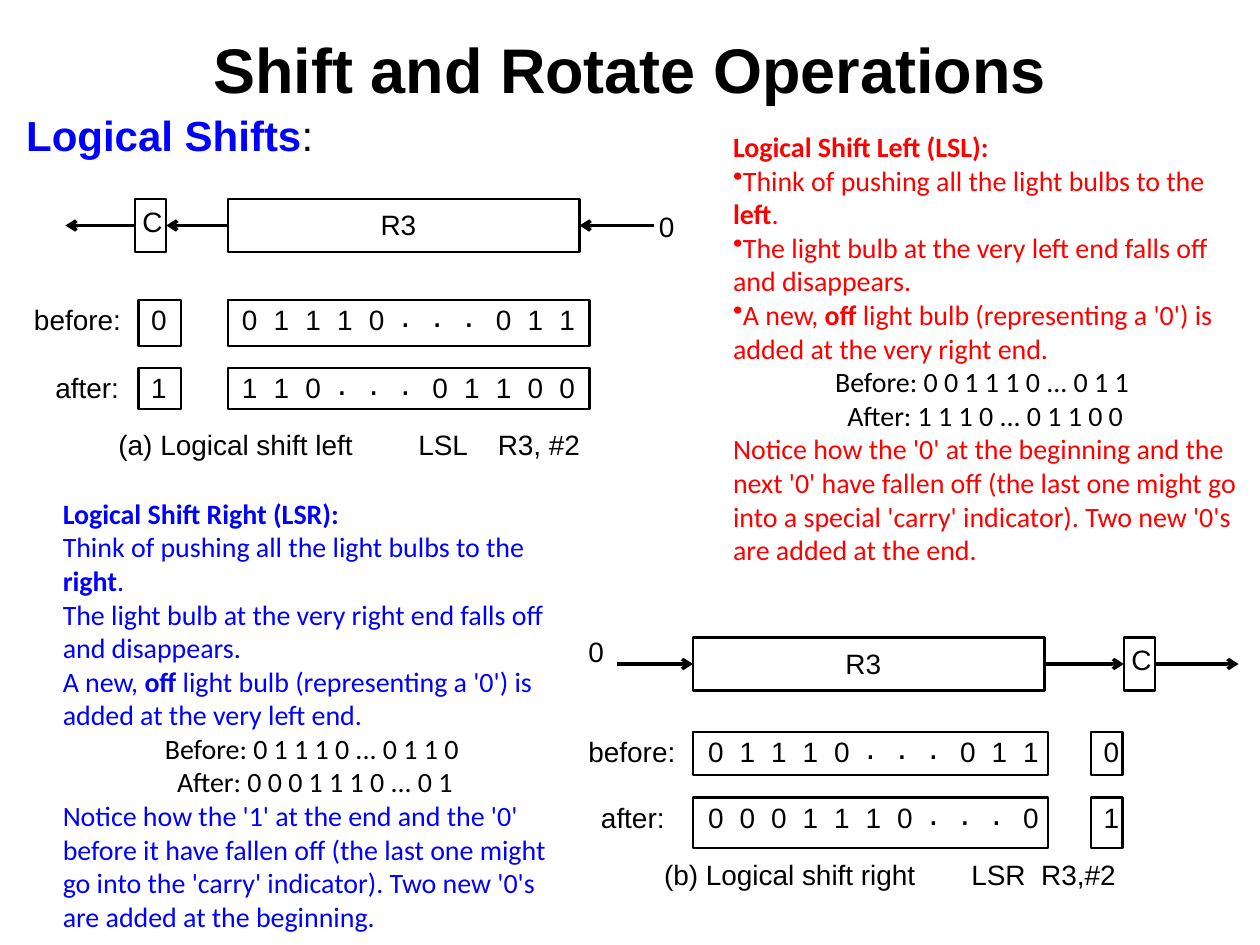
from lxml.etree import SubElement
from pptx import Presentation
from pptx.dml.color import RGBColor
from pptx.enum.shapes import MSO_CONNECTOR, MSO_SHAPE
from pptx.enum.text import MSO_ANCHOR, MSO_AUTO_SIZE, PP_ALIGN
from pptx.oxml.ns import qn
from pptx.util import Inches, Pt

BLACK = RGBColor(0, 0, 0)
BLUE = RGBColor(0, 0, 255)
RED = RGBColor(255, 0, 0)

# Offsets from the top left of each diagram: rows hold label x, y, height
LEFT = dict(
    reg=1.54, carry=0.8, start=4.92, end=0.25, zero=(4.96, 0.08),
    word=2.87, flag=0.83, size=0.34, bit=1.65, pitch=0.252,
    rows=[("before:", 0, 0.8, 0.37, "01110...011", "0"),
          ("after:", 0.17, 1.34, 0.33, "110...01100", "1")],
    notes=[("(a) Logical shift left", 0.67, 1.88),
           ("LSL    R3, #2", 3.05, 1.3)],
    base=1.81, inward=3, outward=1)
RIGHT = dict(
    reg=0.83, carry=4.25, start=0.23, end=5.16, zero=(0, -0.02),
    word=2.82, flag=3.99, size=0.25, bit=0.95, pitch=0.25,
    rows=[("before:", 0, 0.75, 0.34, "01110...011", "0"),
          ("after:", 0.1, 1.27, 0.4, "0001110...0", "1")],
    notes=[("(b) Logical shift right", 0.6, 2.02),
           ("LSR  R3,#2", 3.04, 1.16)],
    base=1.75, inward=1, outward=3)


def text(slide, box, paras, font="Arial", size=16, color=BLACK, wrap=False,
         inset=0, align=PP_ALIGN.LEFT, anchor=MSO_ANCHOR.TOP, fit=True):
    """Add paragraphs; ** switches bold, a leading > centres in black."""
    frame = slide.shapes.add_textbox(*map(Inches, box)).text_frame
    frame.word_wrap = wrap
    if fit:
        frame.auto_size = MSO_AUTO_SIZE.SHAPE_TO_FIT_TEXT
    frame.vertical_anchor = anchor
    frame.margin_left = frame.margin_right = Inches(inset)
    frame.margin_top = frame.margin_bottom = Inches(inset / 2)
    for i, line in enumerate(paras):
        para = frame.paragraphs[0] if i == 0 else frame.add_paragraph()
        mid = line.startswith(">")
        para.alignment = PP_ALIGN.CENTER if mid else align
        if line.startswith("•"):
            SubElement(para._p.get_or_add_pPr(), qn("a:buChar"), char="•")
        for j, part in enumerate(line.lstrip(">•").split("**")):
            if part:
                run = para.add_run()
                run.text = part
                run.font.name, run.font.size = font, Pt(size)
                run.font.bold = j % 2 == 1
                run.font.color.rgb = BLACK if mid else color
    return frame


def rect(slide, x, y, w, h):
    shape = slide.shapes.add_shape(MSO_SHAPE.RECTANGLE,
                                   *map(Inches, (x, y, w, h)))
    shape.shadow.inherit = False
    shape.fill.background()
    shape.line.color.rgb = BLACK
    shape.line.width = Pt(1.25)
    return shape


def arrow(slide, x1, x2, y, tail=None, head=None):
    """Draw a level arrow; tail and head are (shape, side) joints."""
    line = slide.shapes.add_connector(
        MSO_CONNECTOR.STRAIGHT, *map(Inches, (x1, y, x2, y)))
    if tail:
        line.begin_connect(*tail)
    if head:
        line.end_connect(*head)
    line.line.color.rgb = BLACK
    line.line.width = Pt(2)
    SubElement(line.line._get_or_add_ln(), qn("a:tailEnd"), type="arrow")
    SubElement(line._element.spPr, qn("a:effectLst"))


def bits(slide, x, y, pitch, word):
    for i, bit in enumerate(word):
        dot = bit == "."
        place = (x + i * pitch, y - 0.08 * dot,
                 0.08 if dot else 0.12, 0.34 if dot else 0.27)
        text(slide, place, [bit], size=20 if dot else 16)


def diagram(slide, x, y, d):
    # Register and carry flag
    reg = rect(slide, x + d["reg"], y, 2.79, 0.42)
    carry = rect(slide, x + d["carry"], y, 0.25, 0.42)
    text(slide, (x + d["reg"] + 1.21, y + 0.07, 0.29, 0.27), ["R3"])
    text(slide, (x + d["carry"] + 0.06, y + 0.04, 0.16, 0.27), ["C"])
    zx, zy = d["zero"]
    text(slide, (x + zx, y + zy, 0.12, 0.27), ["0"])

    # Flow: zero in, through the register, out of the carry flag
    mid, come, go = y + 0.21, d["inward"], d["outward"]
    arrow(slide, x + d["start"], x + d["reg"], mid, head=(reg, come))
    arrow(slide, x + d["reg"], x + d["carry"], mid, (reg, go), (carry, come))
    arrow(slide, x + d["carry"], x + d["end"], mid, tail=(carry, go))

    # Contents before and after
    for label, dx, dy, h, word, flag in d["rows"]:
        top = y + dy
        rect(slide, x + d["reg"], top, d["word"], h)
        rect(slide, x + d["flag"], top, d["size"], h)
        text(slide, (x + dx, top + 0.02, 0.7 - dx, 0.27), [label])
        text(slide, (x + d["flag"] + 0.1, top + 0.02, 0.12, 0.27), [flag])
        bits(slide, x + d["bit"], top + 0.02, d["pitch"], word)

    # Caption
    for note, dx, w in d["notes"]:
        text(slide, (x + dx, y + d["base"], w, 0.27), [note])


def header(slide, x, y):
    text(slide, (x + 0.39, y, 9, 0.75), ["**Shift and Rotate Operations**"],
         size=36, wrap=True, inset=0.1, align=PP_ALIGN.CENTER,
         anchor=MSO_ANCHOR.MIDDLE, fit=False)
    frame = text(slide, (x, y + 0.65, 2.5, 0.5), ["**Logical Shifts**:"],
                 size=24, inset=0.1)
    frame.paragraphs[0].runs[0].font.color.rgb = BLUE


def guide(slide, x, y, color, name, side, other, mark, sample, notice):
    """Explain one shift, with a worked example."""
    before, after = sample
    lines = [
        f"**Logical Shift {name}:**",
        f"{mark}Think of pushing all the light bulbs to the **{side}**.",
        f"{mark}The light bulb at the very {side} end falls off "
        "and disappears.",
        f"{mark}A new, **off** light bulb (representing a '0') is added "
        f"at the very {other} end.",
        f">Before: {before} ", f">After: {after}", notice]
    text(slide, (x, y, 4.2, 3.6), lines, font="Calibri", color=color,
         wrap=True, inset=0.1)


def main():
    prs = Presentation()
    prs.slide_width, prs.slide_height = Inches(10), Inches(7.5)
    slide = prs.slides.add_slide(prs.slide_layouts[6])
    header(slide, 0.11, 0.17)
    diagram(slide, 0.27, 1.58, LEFT)
    diagram(slide, 4.67, 5.06, RIGHT)
    guide(slide, 5.72, 0.98, RED, "Left (LSL)", "left", "right", "•",
          ("0 0 1 1 1 0 ... 0 1 1", "1 1 1 0 ... 0 1 1 0 0"),
          "Notice how the '0' at the beginning and the next '0' have fallen "
          "off (the last one might go into a special 'carry' indicator). "
          "Two new '0's are added at the end.")
    guide(slide, 0.4, 3.89, BLUE, "Right (LSR)", "right", "left", "",
          ("0 1 1 1 0 ... 0 1 1 0", "0 0 0 1 1 1 0 ... 0 1"),
          "Notice how the '1' at the end and the '0' before it have fallen "
          "off (the last one might go into the 'carry' indicator). "
          "Two new '0's are added at the beginning.")
    prs.save("out.pptx")


if __name__ == "__main__":
    main()
